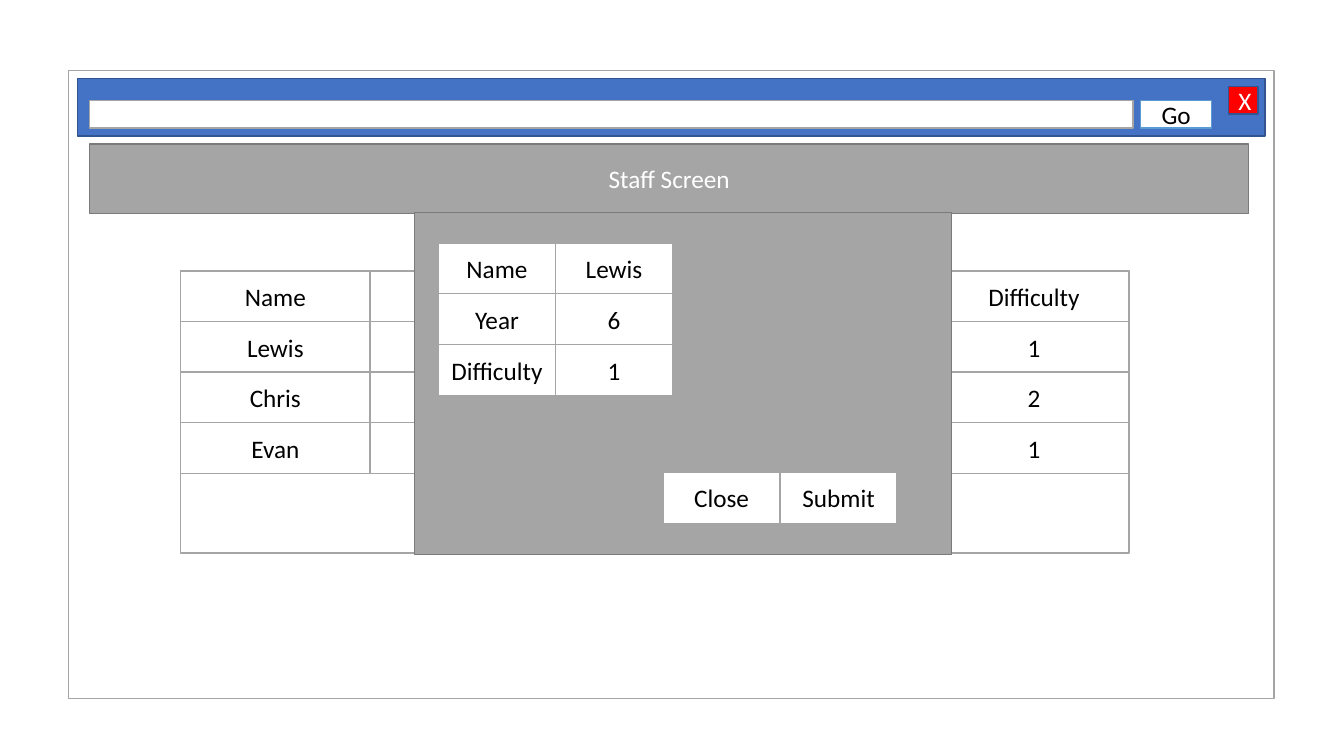
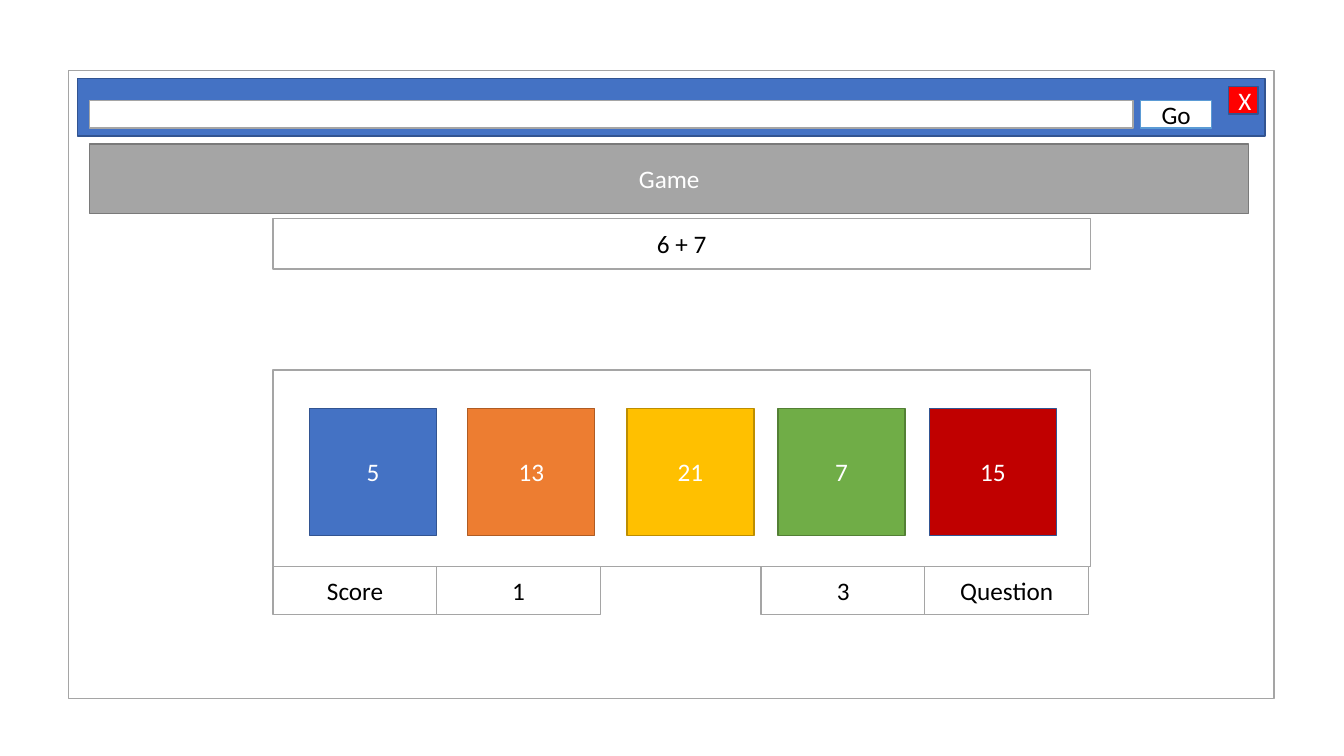
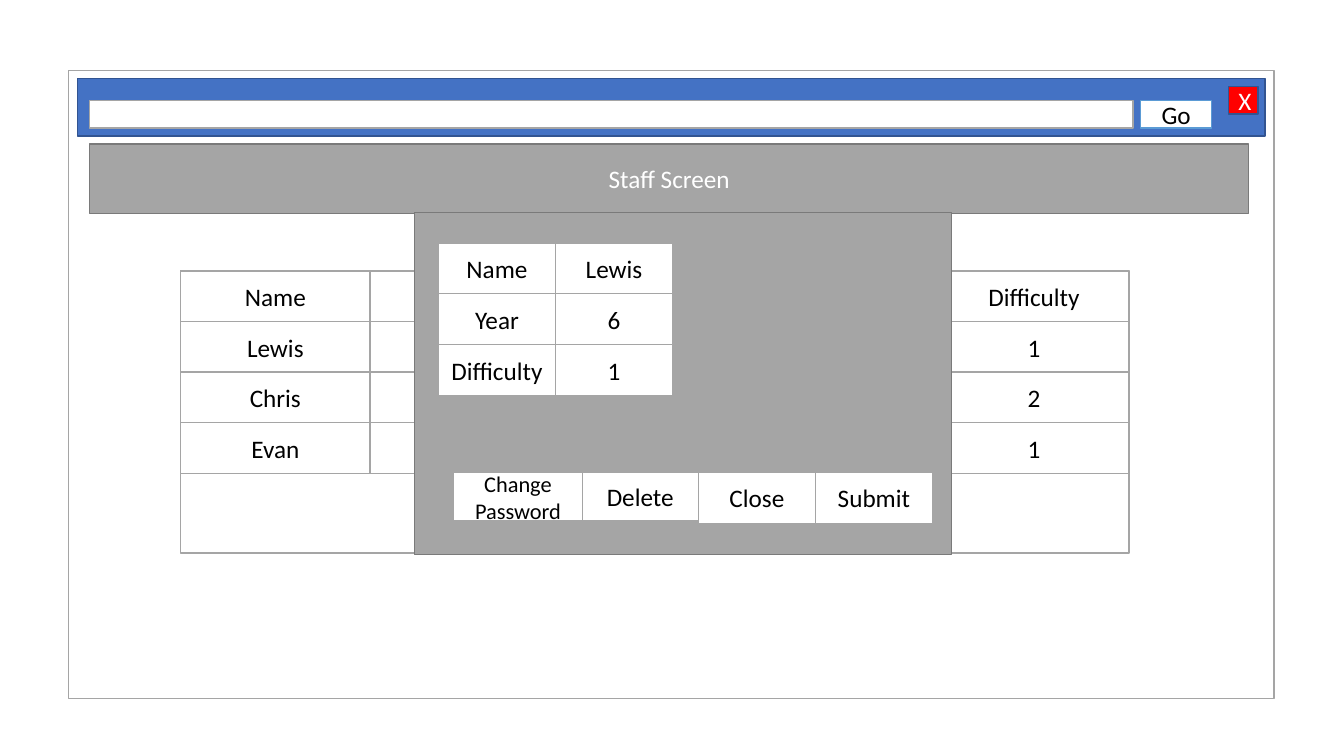
"""Build three browser mock-ups of a school maths game."""
import pptx
import pptx.dml.color
import pptx.enum.shapes
import pptx.enum.text
import pptx.util

Cm = pptx.util.Cm
WHITE, BLACK, RED = "FFFFFF", "000000", "FF0000"
GREY, DARK = "A5A5A5", "7A7A7A"
BLUE, NAVY, SKY = "4472C4", "325491", "5B9BD5"
FRAME = {"margin_left": Cm(0.25), "margin_right": Cm(0.25),
         "margin_top": Cm(0.13), "margin_bottom": Cm(0.13),
         "word_wrap": True,
         "auto_size": pptx.enum.text.MSO_AUTO_SIZE.NONE,
         "vertical_anchor": pptx.enum.text.MSO_ANCHOR.MIDDLE}


def tint(text):
    """Turn a hex string into a colour."""
    return pptx.dml.color.RGBColor.from_string(text)


def assign(item, values):
    """Set every attribute named in a dict."""
    for name, value in values.items():
        setattr(item, name, value)


class Deck:
    """Hold the style and the current slide."""

    def __init__(self):
        """Start a wide deck."""
        self.show = pptx.Presentation()
        assign(self.show, {"slide_width": Cm(33.87), "slide_height": Cm(19.05)})
        self.slide = None

    def paint(self, shape, text, fill, line, ink, size):
        """Fill, outline and label a shape."""
        shape.fill.solid()
        shape.fill.fore_color.rgb = tint(fill)
        shape.line.color.rgb = tint(line)
        shape.line.width = pptx.util.Pt(1)
        if text:
            frame = shape.text_frame
            frame.text = text
            assign(frame, FRAME)
            part = frame.paragraphs[0]
            part.alignment = pptx.enum.text.PP_ALIGN.CENTER
            font = part.runs[0].font
            assign(font, {"name": "Calibri", "size": pptx.util.Pt(size)})
            font.color.rgb = tint(ink)

    def box(self, x, y, wide, high, text="", fill=WHITE, line=GREY,
            ink=BLACK, size=18):
        """Add a rectangle."""
        kind = pptx.enum.shapes.MSO_SHAPE.RECTANGLE
        shape = self.slide.shapes.add_shape(
            kind, Cm(x), Cm(y), Cm(wide), Cm(high))
        shape.shadow.inherit = False
        self.paint(shape, text, fill, line, ink, size)

    def title(self, text):
        """Lay the title band over the window."""
        band = self.slide.shapes.title
        assign(band, {"left": Cm(2.26), "top": Cm(3.63),
                      "width": Cm(29.21), "height": Cm(1.75)})
        self.paint(band, text, GREY, DARK, WHITE, 18)
        band.element.getparent().append(band.element)

    def grid(self, x, y, wide, high, rows, across, down=0):
        """Add rows of labelled cells at an even pitch."""
        for row, texts in enumerate(rows):
            for col, text in enumerate(texts):
                self.box(x + col * across, y + row * down, wide, high, text)

    def window(self, title):
        """Start a slide with the browser window."""
        self.slide = self.show.slides.add_slide(self.show.slide_layouts[5])
        self.box(1.73, 1.78, 30.38, 15.82)
        self.box(1.96, 1.98, 29.92, 1.45, fill=BLUE, line=NAVY)
        self.box(2.26, 2.54, 26.29, 0.69)
        self.box(30.96, 2.18, 0.74, 0.69, "X", RED, NAVY, WHITE)
        self.box(28.75, 2.54, 1.78, 0.69, "Go", line=SKY)
        self.title(title)

    def staff(self, left):
        """Add the pupil list and the pop-up with its buttons."""
        self.window("Staff Screen")
        self.box(4.55, 6.83, 23.9, 7.11)
        names = [("Name", ""), ("Lewis", ""), ("Chris", ""), ("Evan", "")]
        levels = [("Difficulty",), ("1",), ("2",), ("1",)]
        for x, rows in ((4.55, names), (23.67, levels)):
            self.grid(x, 6.83, 4.78, 1.3, rows, 4.78, 1.27)
        self.box(10.44, 5.36, 13.54, 8.61, fill=GREY, line=DARK)
        facts = [("Name", "Lewis"), ("Year", "6"), ("Difficulty", "1")]
        self.grid(11.05, 6.12, 2.95, 1.3, facts, 2.95, 1.28)
        self.grid(left, 11.89, 2.95, 1.3, [("Close", "Submit")], 2.95)

    def game(self):
        """Add the question, the answer tiles and the score."""
        self.window("Game")
        self.box(6.88, 9.32, 20.6, 4.95)
        self.box(6.88, 5.51, 20.6, 1.27, "6 + 7")
        tiles = [(7.8, "5", BLUE, NAVY), (11.79, "13", "ED7D31", "AF5C24"),
                 (15.8, "21", "FFC000", "BD8E00"),
                 (19.61, "7", "70AD47", "538035"), (23.42, "15", "C00000", NAVY)]
        for x, text, fill, line in tiles:
            self.box(x, 10.29, 3.2, 3.2, text, fill, line, WHITE)
        for x, pair in ((6.88, ("Score", "1")), (19.18, ("3", "Question"))):
            self.grid(x, 14.27, 4.14, 1.22, [pair], 4.12)


deck = Deck()
deck.staff(16.71)
deck.game()
deck.staff(17.6)
deck.box(14.66, 11.89, 2.95, 1.24, "Delete")
deck.box(11.43, 11.91, 3.25, 1.22, "Change Password", size=16)
deck.show.save("out.pptx")
